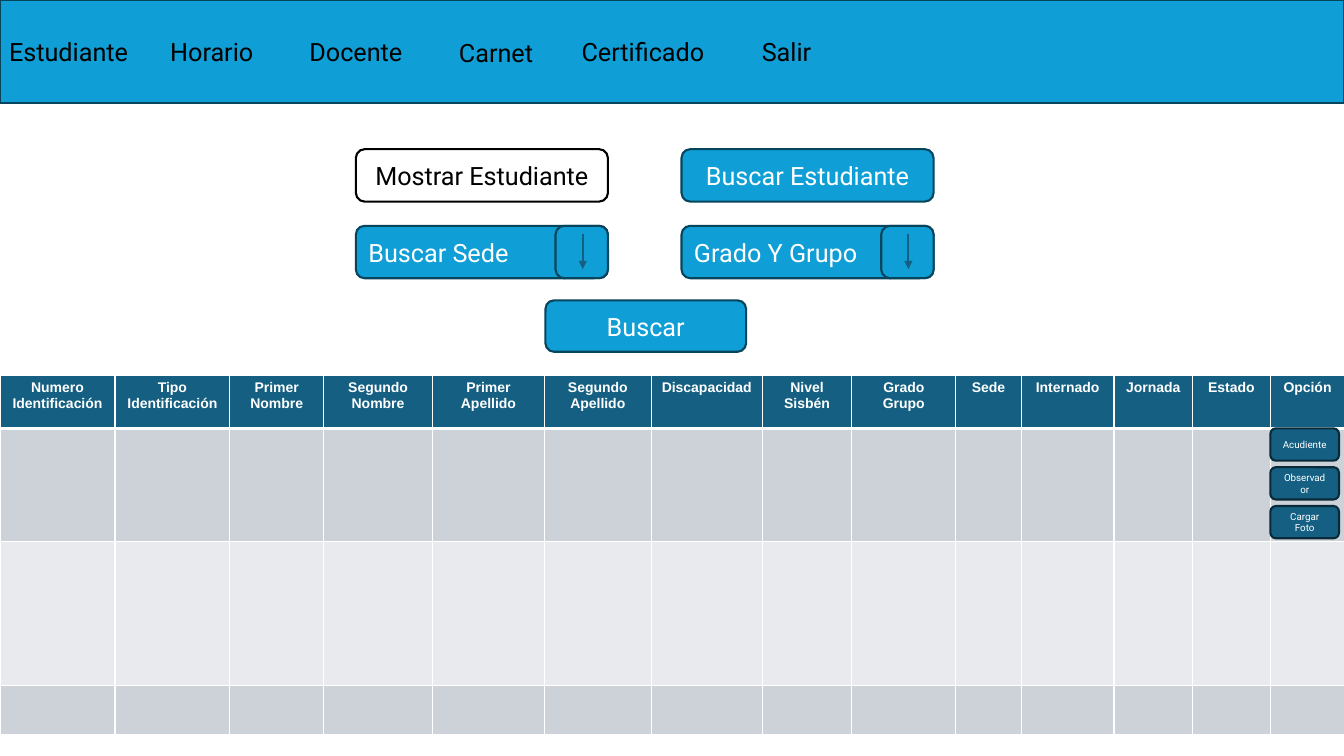
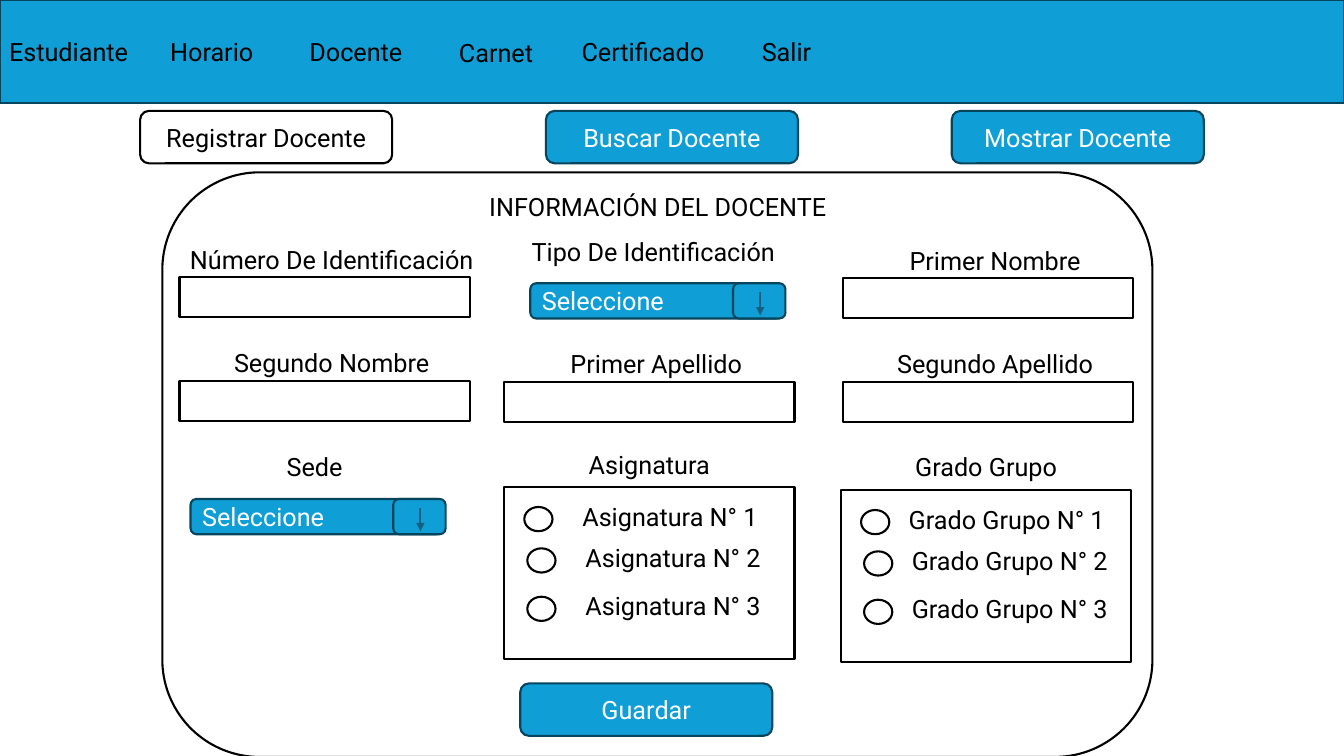
from lxml import etree
from pptx import Presentation
from pptx.dml.color import RGBColor
from pptx.enum.shapes import MSO_CONNECTOR, MSO_SHAPE
from pptx.enum.text import MSO_ANCHOR, MSO_AUTO_SIZE, PP_ALIGN
from pptx.oxml.ns import qn
from pptx.util import Inches, Pt

SLIDE_W, SLIDE_H = 13.33, 7.5
BLUE, NAVY, TEAL, INK = "0F9ED5", "07455D", "156082", "092A39"
WHITE, BLACK = "FFFFFF", "000000"
STRIPES = ("CCD2D8", "E8EAED")
PLAIN = (WHITE, BLACK, BLACK)  # fill, line, text
FILLED = (BLUE, NAVY, WHITE)
DARK = (TEAL, INK, WHITE)
LEFT, CENTER = PP_ALIGN.LEFT, PP_ALIGN.CENTER
BUTTON_W, BUTTON_H = 2.5, 0.52
FIELD_W, FIELD_H = 2.88, 0.4
LABEL_W, LABEL_H = 3.02, 0.4

# Menu shared by both slides: text, left, top, alignment
MENU = [
    ("Estudiante", -0.03, 0.31, CENTER),
    ("Horario", 1.39, 0.31, CENTER),
    ("Docente", 2.82, 0.31, CENTER),
    ("Carnet", 4.21, 0.32, CENTER),
    ("Certificado", 5.67, 0.31, LEFT),
    ("Salir", 7.09, 0.31, CENTER),
]

# Student list
STUDENT_TABS = [("Mostrar Estudiante", 3.53, PLAIN), ("Buscar Estudiante", 6.76, FILLED)]
STUDENT_FILTERS = [("Buscar Sede", 3.53), ("Grado Y Grupo", 6.76)]
COLUMNS = [
    ("Numero Identificación", 1.14), ("Tipo Identificación", 1.14),
    ("Primer Nombre", 0.93), ("Segundo Nombre", 1.08),
    ("Primer Apellido", 1.11), ("Segundo Apellido", 1.06),
    ("Discapacidad", 1.1), ("Nivel Sisbén", 0.89), ("Grado Grupo", 1.03),
    ("Sede", 0.65), ("Internado", 0.92), ("Jornada", 0.78),
    ("Estado", 0.77), ("Opción", 0.74),
]
ROW_HEIGHTS = [0.53, 1.12, 1.43, 0.49]
ROW_ACTIONS = ["Acudiente", "Observador", "Cargar Foto"]

# Teacher form
TEACHER_TABS = [("Registrar Docente", PLAIN), ("Buscar Docente", FILLED),
                ("Mostrar Docente", FILLED)]
FIELDS = [
    ("Número De Identificación", 1.78, 2.37), ("Primer Nombre", 8.36, 2.38),
    ("Segundo Nombre", 1.78, 3.4), ("Primer Apellido", 5, 3.41),
    ("Segundo Apellido", 8.36, 3.41),
]
# Label, label left and top, control left and top
SELECTORS = [("Tipo De Identificación", 4.97, 2.3, 5.26, 2.81),
             ("Sede", 1.61, 4.43, 1.89, 4.95)]
CHOICES = [("Asignatura", 4.93, 4.41, 5, 4.83),
           ("Grado Grupo", 8.27, 4.43, 8.34, 4.86)]
CHOICE_OFFSETS = [(0.2, 0.2), (0.23, 0.61), (0.23, 1.09)]


def rgb(value):
    return RGBColor.from_string(value)


def box(left, top, width, height):
    return [Inches(v) for v in (left, top, width, height)]


def write(frame, text, color, size=18, align=CENTER, font="Roboto", bold=None):
    frame.word_wrap = True
    paragraph = frame.paragraphs[0]
    paragraph.alignment = align
    run = paragraph.add_run()
    run.text = text
    run.font.name, run.font.size, run.font.bold = font, Pt(size), bold
    run.font.color.rgb = rgb(color)


def panel(shapes, kind, place, style=PLAIN, text="", size=18, align=CENTER):
    """Outlined shape, with centred or left text when given."""
    fill, line, color = style
    shape = shapes.add_shape(kind, *box(*place))
    shape.shadow.inherit = False
    shape.fill.solid()
    shape.fill.fore_color.rgb = rgb(fill)
    shape.line.color.rgb = rgb(line)
    shape.line.width = Pt(1.5)
    if text:
        shape.text_frame.vertical_anchor = MSO_ANCHOR.MIDDLE
        write(shape.text_frame, text, color, size, align)


def button(shapes, text, left, top, style=FILLED, width=BUTTON_W, height=BUTTON_H,
           size=18, align=CENTER):
    panel(shapes, MSO_SHAPE.ROUNDED_RECTANGLE, (left, top, width, height),
          style, text, size, align)


def label(shapes, text, left, top, width=LABEL_W, align=CENTER, inset=0.1):
    frame = shapes.add_textbox(*box(left, top, width, LABEL_H)).text_frame
    frame.margin_left = frame.margin_right = Inches(inset)
    write(frame, text, BLACK, align=align)
    frame.auto_size = MSO_AUTO_SIZE.SHAPE_TO_FIT_TEXT


def field_label(shapes, text, left, top):
    label(shapes, text, left, top, inset=0.05)


def arrow_down(shapes, x, top, bottom):
    arrow = shapes.add_connector(MSO_CONNECTOR.STRAIGHT, Inches(x), Inches(top),
                                 Inches(x), Inches(bottom))
    arrow.line.color.rgb = rgb(TEAL)
    arrow.line.width = Pt(1.5)
    properties = arrow._element.spPr
    etree.SubElement(properties.find(qn("a:ln")), qn("a:tailEnd"), type="triangle")
    etree.SubElement(properties, qn("a:effectLst"))


def dropdown(slide, text, left, top, height, knob_offset, arrow_span):
    shapes = slide.shapes.add_group_shape().shapes
    knob = left + knob_offset
    button(shapes, text, left, top, height=height, align=LEFT)
    button(shapes, "", knob, top, width=0.52, height=height)
    start, end = arrow_span
    arrow_down(shapes, knob + 0.27, top + start, top + end)


def add_page(deck):
    """Blank slide with the menu band."""
    slide = deck.slides.add_slide(deck.slide_layouts[6])
    shapes = slide.shapes.add_group_shape().shapes
    panel(shapes, MSO_SHAPE.RECTANGLE, (0, 0, SLIDE_W, 1.02), FILLED)
    for text, left, top, align in MENU:
        label(shapes, text, left, top, width=1.42, align=align)
    return slide


def style_cell(cell, row):
    properties = cell._tc.get_or_add_tcPr()
    widths = {"lnL": 1, "lnR": 1, "lnT": 3 if row == 1 else 1, "lnB": 3 if row == 0 else 1}
    for side, width in widths.items():
        border = etree.SubElement(properties, qn(f"a:{side}"), w=str(Pt(width)))
        paint = etree.SubElement(border, qn("a:solidFill"))
        etree.SubElement(paint, qn("a:srgbClr"), val=WHITE)
    cell.fill.solid()
    cell.fill.fore_color.rgb = rgb(STRIPES[(row - 1) % 2] if row else TEAL)


def student_table(slide):
    place = box(0, 3.72, SLIDE_W, sum(ROW_HEIGHTS))
    table = slide.shapes.add_table(len(ROW_HEIGHTS), len(COLUMNS), *place).table
    for row, height in enumerate(ROW_HEIGHTS):
        table.rows[row].height = Inches(height)
        for column in range(len(COLUMNS)):
            style_cell(table.cell(row, column), row)
    for column, (heading, width) in enumerate(COLUMNS):
        table.columns[column].width = Inches(width)
        write(table.cell(0, column).text_frame, heading, WHITE, 10, font="Arial", bold=True)


def build_students(deck):
    slide = add_page(deck)
    for text, left, style in STUDENT_TABS:
        button(slide.shapes, text, left, 1.48, style)
    for text, left in STUDENT_FILTERS:
        dropdown(slide, text, left, 2.24, BUTTON_H, 1.98, (0.08, 0.43))
    button(slide.shapes, "Buscar", 5.41, 2.98, width=1.99, height=0.51)
    student_table(slide)
    for index, text in enumerate(ROW_ACTIONS):
        button(slide.shapes, text, 12.6, 4.25 + 0.385 * index, DARK, 0.68, 0.32, size=7)


def build_teachers(deck):
    slide = add_page(deck)
    for index, (text, style) in enumerate(TEACHER_TABS):
        button(slide.shapes, text, 1.39 + 4.025 * index, 1.1, style)
    panel(slide.shapes, MSO_SHAPE.ROUNDED_RECTANGLE, (1.61, 1.71, 9.82, 5.8))
    label(slide.shapes, "INFORMACIÓN DEL DOCENTE", 2.05, 1.85, width=8.95)

    for text, left, top in FIELDS:
        shapes = slide.shapes.add_group_shape().shapes
        field_label(shapes, text, left, top)
        panel(shapes, MSO_SHAPE.RECTANGLE, (left, top + 0.38, FIELD_W, FIELD_H))

    for text, label_left, label_top, left, top in SELECTORS:
        field_label(slide.shapes, text, label_left, label_top)
        dropdown(slide, "Seleccione", left, top, 0.35, 2.01, (0.09, 0.32))

    for text, label_left, label_top, left, top in CHOICES:
        field_label(slide.shapes, text, label_left, label_top)
        panel(slide.shapes, MSO_SHAPE.RECTANGLE, (left, top, FIELD_W, 1.71))
        for number, (dx, dy) in enumerate(CHOICE_OFFSETS, 1):
            shapes = slide.shapes.add_group_shape().shapes
            panel(shapes, MSO_SHAPE.OVAL, (left + dx, top + dy, 0.28, 0.24))
            label(shapes, f"{text} N° {number}", left + dx + 0.29, top + dy - 0.11,
                  width=2.31)
    button(slide.shapes, "Guardar", 5.16, 6.78)


def main():
    deck = Presentation()
    deck.slide_width, deck.slide_height = Inches(SLIDE_W), Inches(SLIDE_H)
    build_students(deck)
    build_teachers(deck)
    deck.save("out.pptx")


if __name__ == "__main__":
    main()
